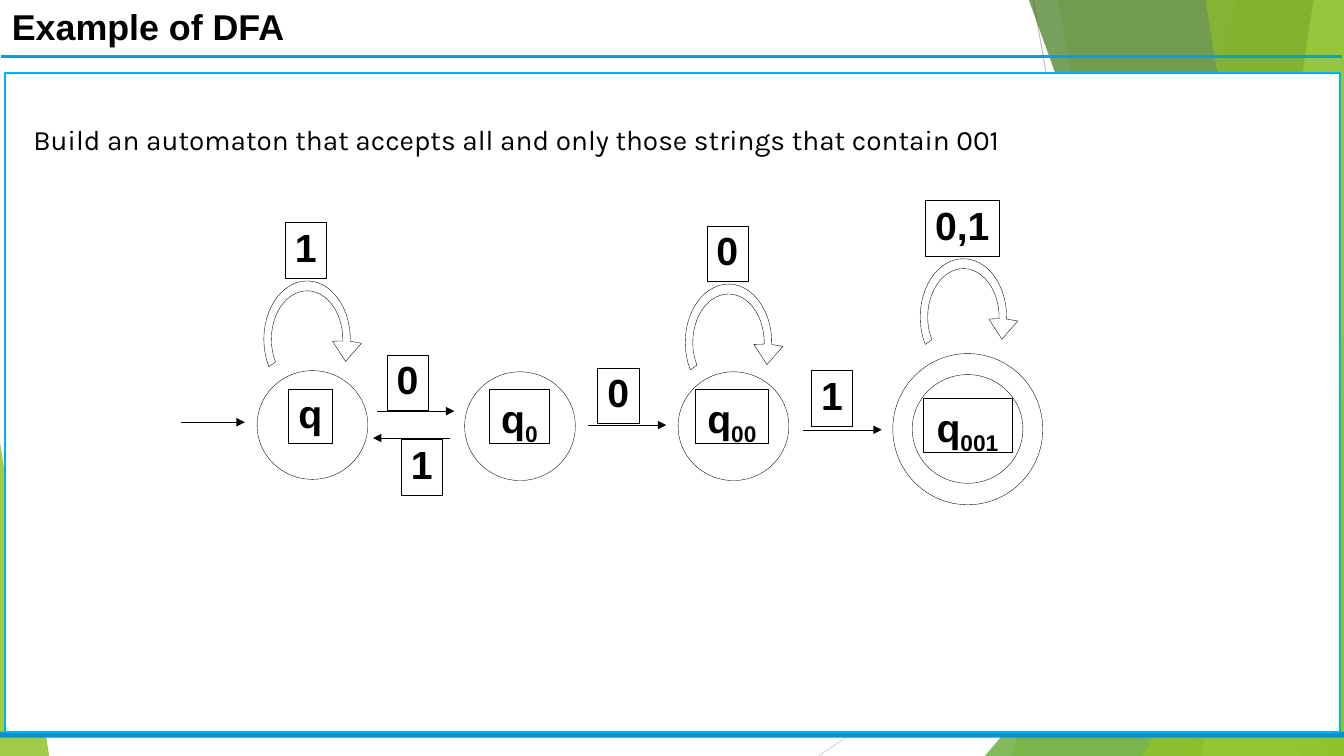
from dataclasses import dataclass
from math import cos, radians, sin

from lxml.etree import SubElement
from pptx import Presentation
from pptx.dml.color import RGBColor
from pptx.enum.shapes import MSO_CONNECTOR as Link, MSO_SHAPE as Preset
from pptx.enum.text import MSO_ANCHOR as Anchor, MSO_AUTO_SIZE as AutoSize, PP_ALIGN as Align
from pptx.oxml.ns import qn
from pptx.util import Cm, Pt


@dataclass(frozen=True)
class Theme:
    ink: str = "000000"
    title_ink: str = "010103"
    white: str = "FFFFFF"
    rule: str = "1F97C8"
    bar: str = "0793CF"
    frame: str = "00B0F0"
    leaf: str = "90C226"
    grass: str = "54A021"
    forest: str = "3F7819"
    lime: str = "C0E474"
    grey: str = "BFBFBF"
    pale_grey: str = "D9D9D9"
    title_font: str = "Arial"
    body_font: str = "Karla"
    title_size: float = 25.6
    body_size: float = 20
    label_size: float = 28
    hairline: float = 0.25


THEME = Theme()
WIDTH, HEIGHT = 33.87, 19.05


# Shared helpers; all positions are in centimetres
def paint(shape, fill=None, line=None, weight=THEME.hairline, opacity=100):
    shape.shadow.inherit = False
    if fill:
        shape.fill.solid()
        shape.fill.fore_color.rgb = RGBColor.from_string(fill)
        if opacity < 100:
            colour = shape.element.spPr.find(qn("a:solidFill")).find(qn("a:srgbClr"))
            SubElement(colour, qn("a:alpha")).set("val", str(opacity * 1000))
    else:
        shape.fill.background()
    if line:
        shape.line.color.rgb = RGBColor.from_string(line)
        shape.line.width = Pt(weight)
    else:
        shape.line.fill.background()
    return shape


def add_preset(page, preset, box, **style):
    return paint(page.shapes.add_shape(preset, *map(Cm, box)), **style)


def add_polygon(page, points, **style):
    corners = [(Cm(x), Cm(y)) for x, y in points]
    builder = page.shapes.build_freeform(*corners[0], scale=1.0)
    builder.add_line_segments(corners[1:], close=True)
    return paint(builder.convert_to_shape(), **style)


def add_line(page, ends, colour, weight, arrow=False):
    line = page.shapes.add_connector(Link.STRAIGHT, *map(Cm, ends))
    line.line.color.rgb = RGBColor.from_string(colour)
    line.line.width = Pt(weight)
    properties = line.element.spPr
    if arrow:
        SubElement(properties.find(qn("a:ln")), qn("a:tailEnd")).set("type", "triangle")
    SubElement(properties, qn("a:effectLst"))


def add_span(para, text, font, size, colour, bold=False):
    span = para.add_run()
    span.text = text
    span.font.name, span.font.size, span.font.bold = font, Pt(size), bold
    span.font.color.rgb = RGBColor.from_string(colour)
    return span


def place_text(holder, box):
    """Move a placeholder to the front at the box and return its bare paragraph."""
    holder.left, holder.top, holder.width, holder.height = map(Cm, box)
    holder.element.getparent().append(holder.element)
    frame = holder.text_frame
    frame.margin_left = frame.margin_right = frame.margin_top = frame.margin_bottom = 0
    frame.word_wrap, frame.auto_size = True, AutoSize.NONE
    frame.vertical_anchor = Anchor.TOP
    para = frame.paragraphs[0]
    layout = para._p.get_or_add_pPr()
    layout.set("marL", "0")
    layout.set("indent", "0")
    SubElement(layout, qn("a:buNone"))
    para.space_before = Pt(0)
    return para


# Green facets along the right side and the lower left corner
def draw_backdrop(page, width, height):
    add_line(page, (26.04, 0, 29.41, height), THEME.grey, 0.75)
    add_line(page, (width, 10.24, 20.62, height), THEME.pale_grey, 0.75)

    def band(top_x, bottom_x, colour, opacity):
        points = [(top_x, 0), (width, 0), (width, height), (bottom_x, height)]
        add_polygon(page, points, fill=colour, opacity=opacity)

    def corner(left, top, right, peak, colour, opacity):
        box = (left, top, right - left, height - top)
        facet = add_preset(page, Preset.ISOSCELES_TRIANGLE, box, fill=colour, opacity=opacity)
        facet.adjustments[0] = peak

    band(31.19, 25.5, THEME.leaf, 30)
    band(26.67, 30.05, THEME.leaf, 20)
    corner(24.82, 8.46, width, 1, THEME.grass, 72)
    band(25.93, 32.79, THEME.forest, 70)
    band(33.1, 30.28, THEME.lime, 70)
    band(30.38, 33.48, THEME.leaf, 65)
    corner(28.8, 9.98, width, 1, THEME.leaf, 80)
    corner(0, 11.15, 1.24, 0, THEME.leaf, 85)


# Title with its rule
def draw_header(page, box):
    left, top, width, height = box
    add_line(page, (0.03, top + 1.29, WIDTH - 0.04, top + 1.29), THEME.rule, 2.25)
    para = place_text(page.shapes.title, (left + 0.05, top, width, height))
    para.alignment = Align.LEFT
    add_span(para, "Example of DFA", THEME.title_font, THEME.title_size, THEME.title_ink, True)


# White panel with the task and the bar below it
def draw_panel(page, box):
    left, top, width, height = box
    add_preset(page, Preset.RECTANGLE, (0, top + height, WIDTH, 0.15), fill=THEME.bar)
    add_preset(page, Preset.RECTANGLE, box, fill=THEME.white, line=THEME.frame, weight=1.5)
    para = place_text(page.placeholders[1], (left + 0.71, top + 0.84, width - 1, 1.27))
    para.alignment, para.line_spacing = Align.JUSTIFY, 1.5
    task = "Build an automaton that accepts all and only those strings that contain 001"
    add_span(para, task, THEME.body_font, THEME.body_size, THEME.ink)


def add_label(page, box, text, subscript=""):
    label = add_preset(page, Preset.RECTANGLE, box, line=THEME.ink)
    frame = label.text_frame
    frame.word_wrap, frame.vertical_anchor = False, Anchor.TOP
    para = frame.paragraphs[0]
    para.alignment, para.line_spacing = Align.CENTER, 0.93
    style = (THEME.title_font, THEME.label_size, THEME.ink, True)
    add_span(para, text, *style)
    if subscript:
        add_span(para, subscript, *style)._r.get_or_add_rPr().set("baseline", "-25000")


def add_loop(page, left, top):
    def arc(radius_x, radius_y, angles):
        return [(left + 1.09 + radius_x * cos(radians(a)),
                 top + 1.47 - radius_y * sin(radians(a))) for a in angles]

    sweep = range(-2, 209, 7)
    head = [(left + x, top + y) for x, y in ((2.46, 1.57), (2.06, 2.03), (1.73, 1.52))]
    outline = arc(0.9, 1.22, sweep) + arc(1.09, 1.47, reversed(sweep)) + head
    add_polygon(page, outline, fill=THEME.white, line=THEME.ink)


# State diagram: states, transitions and loops
def draw_automaton(page, left, top):
    def ring(x, y, width, height):
        add_preset(page, Preset.OVAL, (left + x, top + y, width, height), line=THEME.ink)

    ring(17.93, 3.86, 3.78, 3.81)
    states = [("", 1.91, 4.29, 2.69, 4.75, 1.12), ("0", 7.14, 4.32, 7.77, 4.75, 1.5),
              ("00", 12.52, 4.32, 12.95, 4.75, 1.85), ("001", 18.42, 4.39, 18.69, 4.98, 2.24)]
    for subscript, x, y, label_x, label_y, label_width in states:
        ring(x, y, 2.79, 2.74)
        add_label(page, (left + label_x, top + label_y, label_width, 1.37), "q", subscript)

    for start, end, y in ((0, 1.6, 5.59), (4.93, 6.88, 5.31), (6.78, 4.83, 5.99),
                          (10.26, 12.22, 5.66), (15.67, 17.65, 5.78)):
        ends = (left + start, top + y, left + end, top + y)
        add_line(page, ends, THEME.ink, THEME.hairline, arrow=True)
    for symbol, x, y in (("0", 5.18, 3.89), ("1", 5.54, 6.02), ("0", 10.49, 4.22), ("1", 15.88, 4.29)):
        add_label(page, (left + x, top + y, 1.04, 1.4), symbol)

    for symbols, x, y, width in (("1", 2.08, 2.03, 1.04), ("0", 12.7, 2.11, 1.04),
                                 ("0,1", 18.62, 1.47, 1.88)):
        add_loop(page, left + x, top + y)
        add_label(page, (left + x + 1.06 - width / 2, top + y - 1.47, width, 1.4), symbols)


def main():
    deck = Presentation()
    deck.slide_width, deck.slide_height = Cm(WIDTH), Cm(HEIGHT)
    page = deck.slides.add_slide(deck.slide_layouts[1])
    draw_backdrop(page, WIDTH, HEIGHT)
    draw_header(page, (0.25, 0.13, 20.04, 1.09))
    draw_panel(page, (0.13, 1.83, 33.63, 16.61))
    draw_automaton(page, 4.57, 5.05)
    deck.save("out.pptx")


if __name__ == "__main__":
    main()
